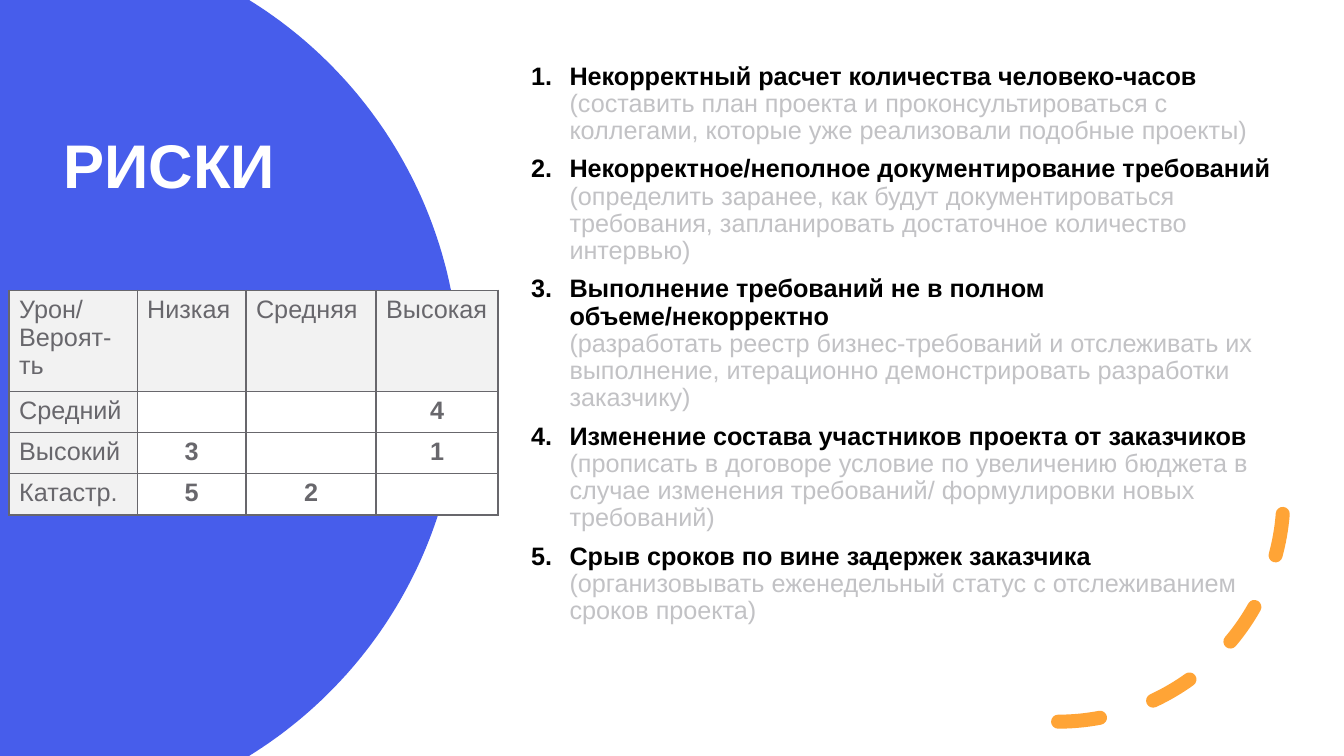
"""Builds the project risks slide with a risk matrix and a numbered list."""
from math import asin, cos, sin

from pptx import Presentation
from pptx.dml.color import RGBColor
from pptx.enum.dml import MSO_LINE
from pptx.enum.shapes import MSO_SHAPE
from pptx.enum.text import MSO_ANCHOR, MSO_AUTO_SIZE, PP_ALIGN
from pptx.oxml import parse_xml
from pptx.oxml.ns import nsdecls
from pptx.util import Inches, Pt

TITLE = "РИСКИ"
RISKS = [
    ("Некорректный расчет количества человеко-часов ",
     "(составить план проекта и проконсультироваться с коллегами, которые уже реализовали подобные проекты)"),
    ("Некорректное/неполное документирование требований ",
     "(определить заранее, как будут документироваться требования, "
     "запланировать достаточное количество интервью)"),
    ("Выполнение требований не в полном объеме/некорректно \n",
     "(разработать реестр бизнес-требований и отслеживать их выполнение, "
     "итерационно демонстрировать разработки заказчику)"),
    ("Изменение состава участников проекта от заказчиков ",
     "(прописать в договоре условие по увеличению бюджета в случае изменения требований/ "
     "формулировки новых требований)"),
    ("Срыв сроков по вине задержек заказчика \n",
     "(организовывать еженедельный статус с отслеживанием сроков проекта)"),
]
MATRIX = [
    ("Урон/\vВероят-ть", "Низкая", "Средняя", "Высокая"),
    ("Средний", "", "", "4"),
    ("Высокий", "3", "", "1"),
    ("Катастр.", "5", "2", ""),
]
COLUMN_WIDTHS = (1.27, 1.08, 1.29, 1.21)
ROW_HEIGHTS = (0.95, 0.41, 0.41, 0.41)
COLORS = {"white": "FFFFFF", "blue": "475DEB", "orange": "FFA436", "black": "000000",
          "hint": "C2C2C5", "gray": "68676C", "header": "F2F2F2"}
FONT = "Arial"
WIDTH, HEIGHT = 13.33, 7.5
CIRCLE_CENTER, CIRCLE_RADIUS, CIRCLE_STEPS = 0.15, 4.41, 120


def color(name):
    return RGBColor.from_string(COLORS[name])


def style_font(font, size, color_name, bold):
    font.name, font.size, font.bold = FONT, Pt(size), bold
    font.color.rgb = color(color_name)


def add_circle(slide):
    limit = asin(HEIGHT / 2 / CIRCLE_RADIUS)
    angles = [limit * (2 * step / CIRCLE_STEPS - 1) for step in range(CIRCLE_STEPS + 1)]
    rim = [(Inches(CIRCLE_CENTER + CIRCLE_RADIUS * cos(angle)),
            Inches(HEIGHT / 2 + CIRCLE_RADIUS * sin(angle))) for angle in angles]
    builder = slide.shapes.build_freeform(0, 0)
    builder.add_line_segments(rim + [(0, Inches(HEIGHT))], close=True)
    circle = builder.convert_to_shape()
    circle.shadow.inherit = False
    circle.fill.solid()
    circle.fill.fore_color.rgb = color("blue")
    circle.line.fill.background()
    slide.shapes.title.element.addprevious(circle.element)


def fill_title(title):
    title.left, title.top, title.width, title.height = map(Inches, (0.53, 0.46, 3.5, 2.42))
    frame = title.text_frame
    frame.text = TITLE
    frame.auto_size = MSO_AUTO_SIZE.NONE
    frame.vertical_anchor = MSO_ANCHOR.MIDDLE
    paragraph = frame.paragraphs[0]
    paragraph.alignment, paragraph.line_spacing = PP_ALIGN.LEFT, 0.9
    style_font(paragraph.font, 44, "white", True)


def add_arc(slide):
    arc = slide.shapes.add_shape(MSO_SHAPE.ARC, *map(Inches, (8.26, 2.69, 4.47, 4.47)))
    arc.shadow.inherit = False
    arc.fill.background()
    arc.line.color.rgb = color("orange")
    arc.line.width = Pt(10)
    arc.line.dash_style = MSO_LINE.DASH
    properties = arc.element.spPr
    properties.xfrm.set("flipV", "1")
    properties.ln.set("cap", "rnd")


def add_risks(slide):
    box = slide.shapes.add_textbox(*map(Inches, (5.17, 0.16, 7.55, 6.51)))
    frame = box.text_frame
    frame.word_wrap = True
    frame.vertical_anchor = MSO_ANCHOR.MIDDLE
    for index, (risk, response) in enumerate(RISKS):
        paragraph = frame.add_paragraph() if index else frame.paragraphs[0]
        paragraph.line_spacing = 0.9
        paragraph.space_before = Pt(4 if index else 0)
        paragraph.space_after = Pt(4)
        properties = paragraph._p.get_or_add_pPr()
        properties.set("marL", str(Inches(0.38)))
        properties.set("indent", str(-Inches(0.38)))
        properties.append(parse_xml(f'<a:buAutoNum {nsdecls("a")} type="arabicPeriod"/>'))
        for text, color_name, bold in ((risk, "black", True), (response, "hint", False)):
            run = paragraph.add_run()
            run.text = text.rstrip("\n")
            style_font(run.font, 18, color_name, bold)
            if text.endswith("\n"):
                paragraph.add_line_break()


def add_borders(cell):
    properties = cell._tc.get_or_add_tcPr()
    for position, side in enumerate("LRTB"):
        properties.insert(position, parse_xml(
            f'<a:ln{side} {nsdecls("a")} w="{Pt(1)}"><a:solidFill>'
            f'<a:srgbClr val="{COLORS["gray"]}"/></a:solidFill></a:ln{side}>'))


def add_matrix(slide):
    frame = slide.shapes.add_table(
        len(ROW_HEIGHTS), len(COLUMN_WIDTHS), Inches(0.09), Inches(2.88),
        Inches(sum(COLUMN_WIDTHS)), Inches(sum(ROW_HEIGHTS)))
    table = frame.table
    table.first_row = table.horz_banding = False
    for column, width in zip(table.columns, COLUMN_WIDTHS):
        column.width = Inches(width)
    for row, height in zip(table.rows, ROW_HEIGHTS):
        row.height = Inches(height)
    for row_index, texts in enumerate(MATRIX):
        for column_index, text in enumerate(texts):
            is_header = row_index == 0 or column_index == 0
            cell = table.cell(row_index, column_index)
            cell.text = text
            cell.fill.solid()
            cell.fill.fore_color.rgb = color("header" if is_header else "white")
            add_borders(cell)
            paragraph = cell.text_frame.paragraphs[0]
            paragraph.alignment = PP_ALIGN.LEFT if is_header else PP_ALIGN.CENTER
            style_font(paragraph.font, 18, "gray", not is_header)


def main():
    presentation = Presentation()
    presentation.slide_width, presentation.slide_height = Inches(WIDTH), Inches(HEIGHT)
    slide = presentation.slides.add_slide(presentation.slide_layouts[5])
    slide.background.fill.solid()
    slide.background.fill.fore_color.rgb = color("white")
    add_circle(slide)
    fill_title(slide.shapes.title)
    add_arc(slide)
    add_risks(slide)
    add_matrix(slide)
    presentation.save("out.pptx")


if __name__ == "__main__":
    main()
